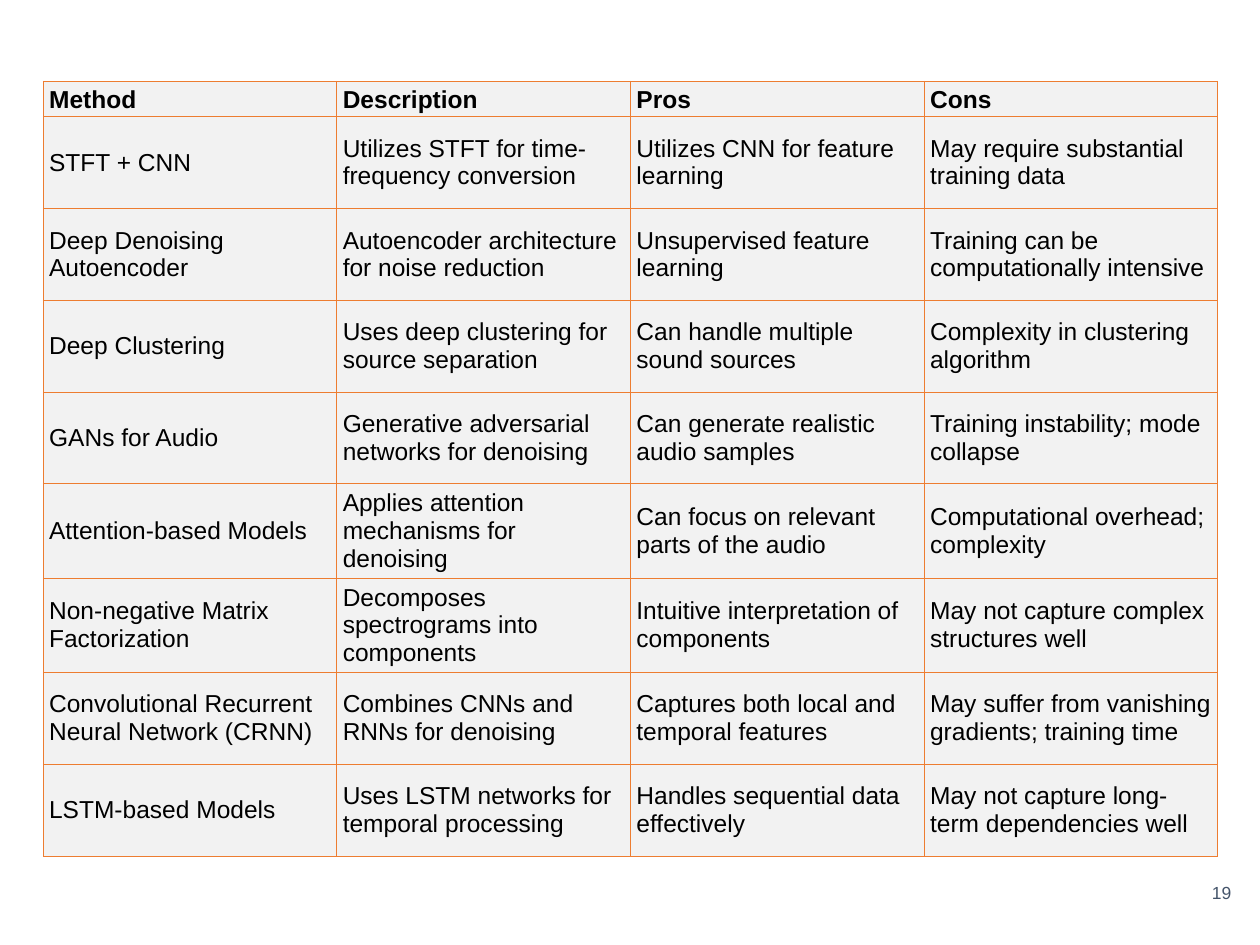
"""Build a slide with a table comparing audio denoising methods."""
from lxml import etree
from pptx import Presentation
from pptx.dml.color import RGBColor
from pptx.enum.text import MSO_ANCHOR, PP_ALIGN
from pptx.oxml.ns import qn
from pptx.util import Cm, Pt

MIDDLE, BOTTOM = MSO_ANCHOR.MIDDLE, MSO_ANCHOR.BOTTOM
RIGHT = PP_ALIGN.RIGHT
BLACK = RGBColor(0x00, 0x00, 0x00)
SLATE = RGBColor(0x44, 0x54, 0x6A)
PALE = RGBColor(0xF2, 0xF2, 0xF2)
ORANGE = RGBColor(0xED, 0x7D, 0x31)

ROWS = [
    ("Method", "Description", "Pros", "Cons"),
    ("STFT + CNN", "Utilizes STFT for time-frequency conversion",
     "Utilizes CNN for feature learning", "May require substantial training data"),
    ("Deep Denoising Autoencoder", "Autoencoder architecture for noise reduction",
     "Unsupervised feature learning", "Training can be computationally intensive"),
    ("Deep Clustering", "Uses deep clustering for source separation",
     "Can handle multiple sound sources", "Complexity in clustering algorithm"),
    ("GANs for Audio", "Generative adversarial networks for denoising",
     "Can generate realistic audio samples", "Training instability; mode collapse"),
    ("Attention-based Models", "Applies attention mechanisms for denoising",
     "Can focus on relevant parts of the audio", "Computational overhead; complexity"),
    ("Non-negative Matrix Factorization", "Decomposes spectrograms into components",
     "Intuitive interpretation of components", "May not capture complex structures well"),
    ("Convolutional Recurrent Neural Network (CRNN)", "Combines CNNs and RNNs for denoising",
     "Captures both local and temporal features",
     "May suffer from vanishing gradients; training time"),
    ("LSTM-based Models", "Uses LSTM networks for temporal processing",
     "Handles sequential data effectively", "May not capture long-term dependencies well"),
]
INSETS = {"margin_left": Cm(0.12), "margin_right": Cm(0.12),
          "margin_top": Cm(0.06), "margin_bottom": Cm(0.06)}
HEAD, BODY = Cm(0.69), Cm(1.85)
WIDTH = Cm(5.92)


def style(run, size, color, bold=False):
    for key, value in {"name": "Arial", "size": Pt(size), "bold": bold}.items():
        setattr(run.font, key, value)
    run.font.color.rgb = color


def border(cell):
    props = cell._tc.get_or_add_tcPr()
    for spot, side in enumerate(("lnL", "lnR", "lnT", "lnB")):
        line = etree.Element(qn("a:" + side), w=str(Pt(0.5)))
        fill = etree.SubElement(line, qn("a:solidFill"))
        etree.SubElement(fill, qn("a:srgbClr"), val=str(ORANGE))
        props.insert(spot, line)


prs = Presentation()
prs.slide_width, prs.slide_height = Cm(25.4), Cm(19.05)
slide = prs.slides.add_slide(prs.slide_layouts[6])

box = slide.shapes.add_textbox(Cm(23.55), Cm(17.27), Cm(1.52), Cm(1.45))
frame = box.text_frame
for key in INSETS:
    setattr(frame, key, Cm(0.25))
frame.word_wrap = True
frame.vertical_anchor = MIDDLE
para = frame.paragraphs[0]
para.alignment = RIGHT
run = para.add_run()
run.text = "19"
style(run, 10, SLATE)

high = HEAD + BODY * (len(ROWS) - 1)
table = slide.shapes.add_table(len(ROWS), len(ROWS[0]), Cm(0.87), Cm(1.64),
                               WIDTH * len(ROWS[0]), high).table
for col in table.columns:
    col.width = WIDTH
for r, texts in enumerate(ROWS):
    top = r == 0
    table.rows[r].height = HEAD if top else BODY
    for c, text in enumerate(texts):
        cell = table.cell(r, c)
        for key, value in INSETS.items():
            setattr(cell, key, value)
        cell.vertical_anchor = BOTTOM if top else MIDDLE
        cell.fill.solid()
        cell.fill.fore_color.rgb = PALE
        border(cell)
        run = cell.text_frame.paragraphs[0].add_run()
        run.text = text
        style(run, 14, BLACK, top)

prs.save("out.pptx")
